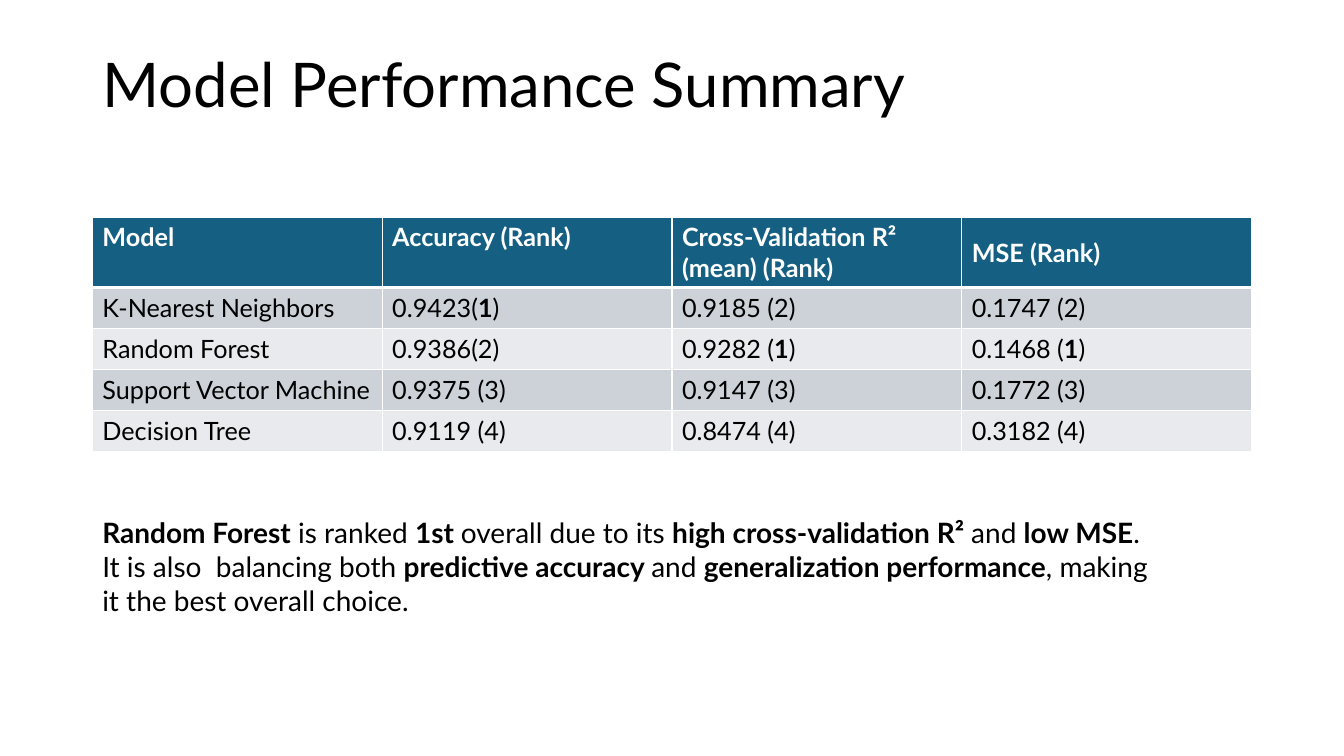
from dataclasses import dataclass

from lxml import etree
from pptx import Presentation
from pptx.dml.color import RGBColor
from pptx.enum.text import MSO_ANCHOR, MSO_AUTO_SIZE, PP_ALIGN
from pptx.oxml.ns import qn
from pptx.slide import Slide
from pptx.table import _Cell
from pptx.text.text import TextFrame
from pptx.util import Pt

TOP, MIDDLE = MSO_ANCHOR.TOP, MSO_ANCHOR.MIDDLE
LEFT = PP_ALIGN.LEFT
NO_AUTOFIT = MSO_AUTO_SIZE.NONE
FIT_SHAPE = MSO_AUTO_SIZE.SHAPE_TO_FIT_TEXT
TITLE_ONLY = 5

FONT = "Lato"
BLACK, WHITE = "000000", "FFFFFF"
HEADER_FILL = "156082"
BAND_FILLS = ("CCD2D8", "E8EAED")

MARGIN_LEFT, CONTENT_WIDTH = 66, 828
TABLE_TOP, HEADER_HEIGHT, ROW_HEIGHT = 155, 50, 29.2
BOLD_MARK = "**"


@dataclass(frozen=True)
class ModelScore:
    model: str
    accuracy: str
    cross_validation: str
    mse: str

    def values(self) -> tuple[str, ...]:
        return self.model, self.accuracy, self.cross_validation, self.mse


HEADINGS = ModelScore("Model", "Accuracy (Rank)",
                      "Cross-Validation R² (mean) (Rank)", "MSE (Rank)")
SCORES = (
    ModelScore("K-Nearest Neighbors", "0.9423(**1**)", "0.9185 (2)", "0.1747 (2)"),
    ModelScore("Random Forest", "0.9386(2)", "0.9282 (**1**)", "0.1468 (**1**)"),
    ModelScore("Support Vector Machine", "0.9375 (3)", "0.9147 (3)", "0.1772 (3)"),
    ModelScore("Decision Tree", "0.9119 (4)", "0.8474 (4)", "0.3182 (4)"),
)
CONCLUSION = (
    "**Random Forest** is ranked **1st **overall due to its "
    "**high cross-validation R² **and **low MSE**. It is also  balancing both "
    "**predictive accuracy **and **generalization performance**, "
    "making it the best overall choice."
)


def rgb(hex_color: str) -> RGBColor:
    return RGBColor.from_string(hex_color)


def write_text(frame: TextFrame, text: str, *, size: float, color: str = BLACK,
               bold: bool = False, line_spacing: float = 1.0) -> None:
    """Fill the frame's paragraph; parts between ** marks are bold."""
    paragraph = frame.paragraphs[0]
    paragraph.alignment = LEFT
    paragraph.line_spacing = line_spacing
    for index, part in enumerate(text.split(BOLD_MARK)):
        if not part:
            continue
        run = paragraph.add_run()
        run.text = part
        run.font.name = FONT
        run.font.size = Pt(size)
        run.font.bold = bold or index % 2 == 1
        run.font.color.rgb = rgb(color)


def set_borders(cell: _Cell, *, top: float, bottom: float) -> None:
    """Draw white borders, 1 point wide at the sides."""
    properties = cell._tc.get_or_add_tcPr()
    widths = {"a:lnL": 1, "a:lnR": 1, "a:lnT": top, "a:lnB": bottom}
    for position, (tag, width) in enumerate(widths.items()):
        line = etree.Element(qn(tag), w=str(Pt(width)))
        fill = etree.SubElement(line, qn("a:solidFill"))
        etree.SubElement(fill, qn("a:srgbClr"), val=WHITE)
        properties.insert(position, line)


def add_title(slide: Slide) -> None:
    title = slide.shapes.title
    title.left, title.top = Pt(MARGIN_LEFT), Pt(29)
    title.width, title.height = Pt(CONTENT_WIDTH), Pt(67)
    frame = title.text_frame
    frame.word_wrap = True
    frame.auto_size = NO_AUTOFIT
    frame.vertical_anchor = MIDDLE
    write_text(frame, "Model Performance Summary", size=44, line_spacing=0.9)


def add_score_table(slide: Slide) -> None:
    rows = (HEADINGS, *SCORES)
    heights = [HEADER_HEIGHT] + [ROW_HEIGHT] * len(SCORES)
    columns = len(HEADINGS.values())
    table = slide.shapes.add_table(
        len(rows), columns, Pt(MARGIN_LEFT), Pt(TABLE_TOP),
        Pt(CONTENT_WIDTH), Pt(sum(heights))).table
    for column in table.columns:
        column.width = Pt(CONTENT_WIDTH / columns)

    for row_index, (score, height) in enumerate(zip(rows, heights)):
        table.rows[row_index].height = Pt(height)
        is_header = row_index == 0
        fill = HEADER_FILL if is_header else BAND_FILLS[(row_index - 1) % 2]
        top_anchored_columns = 2 if is_header else 1
        for column_index, value in enumerate(score.values()):
            cell = table.cell(row_index, column_index)
            cell.fill.solid()
            cell.fill.fore_color.rgb = rgb(fill)
            cell.vertical_anchor = TOP if column_index < top_anchored_columns else MIDDLE
            set_borders(cell, top=3 if row_index == 1 else 1,
                        bottom=3 if is_header else 1)
            write_text(cell.text_frame, value, size=18, bold=is_header,
                       color=WHITE if is_header else BLACK)


def add_conclusion(slide: Slide) -> None:
    conclusion = slide.shapes.add_textbox(Pt(MARGIN_LEFT), Pt(365), Pt(765), Pt(80))
    frame = conclusion.text_frame
    frame.word_wrap = True
    frame.auto_size = FIT_SHAPE
    write_text(frame, CONCLUSION, size=20)


def main() -> None:
    presentation = Presentation()
    presentation.slide_width, presentation.slide_height = Pt(960), Pt(540)
    slide = presentation.slides.add_slide(presentation.slide_layouts[TITLE_ONLY])
    add_title(slide)
    add_score_table(slide)
    add_conclusion(slide)
    presentation.save("out.pptx")


if __name__ == "__main__":
    main()
